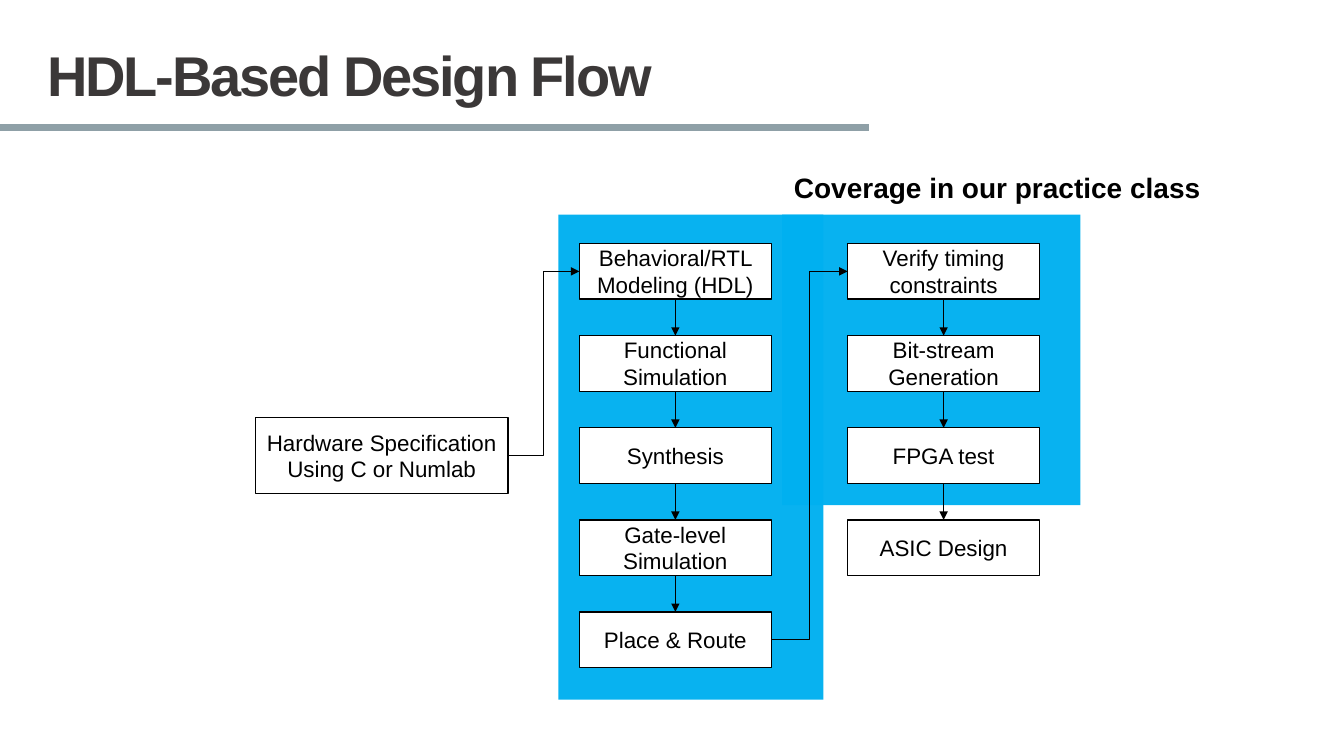
"""Build the HDL-based design flow slide."""
from lxml import etree
from pptx import Presentation
from pptx.dml.color import RGBColor
from pptx.enum.shapes import MSO_CONNECTOR, MSO_SHAPE
from pptx.enum.text import MSO_ANCHOR, PP_ALIGN
from pptx.oxml.ns import qn
from pptx.util import Cm, Pt

RECT = MSO_SHAPE.RECTANGLE
STRAIGHT, ELBOW = MSO_CONNECTOR.STRAIGHT, MSO_CONNECTOR.ELBOW
MIDDLE, TOP = MSO_ANCHOR.MIDDLE, MSO_ANCHOR.TOP
LEFT, CENTER = PP_ALIGN.LEFT, PP_ALIGN.CENTER
BLACK = RGBColor(0x00, 0x00, 0x00)
WHITE = RGBColor(0xFF, 0xFF, 0xFF)
BLUE = RGBColor(0x00, 0xB0, 0xF0)
CHARCOAL = RGBColor(0x3B, 0x38, 0x38)
SLATE = RGBColor(0x8F, 0xA0, 0xA7)

SITE_TOP, SITE_LEFT, SITE_BOTTOM, SITE_RIGHT = range(4)
STEP_W, STEP_H, STEP_TOP, STEP_PITCH = 4.84, 1.4, 6.14, 2.32
COLUMNS = [
    (14.6, ["Behavioral/RTL Modeling (HDL)", "Functional Simulation",
            "Synthesis", "Gate-level Simulation", "Place & Route"]),
    (21.36, ["Verify timing constraints", "Bit-stream Generation",
             "FPGA test", "ASIC Design"]),
]
COVERAGE_AREAS = [(14.07, 5.41, 6.68, 12.22), (19.71, 5.41, 7.52, 7.32)]
TEXTS = [
    ("HDL-Based Design Flow", (0.94, 0.91, 18.11, 2.13), LEFT, MIDDLE,
     {"size": Pt(40), "bold": True, "name": "Arial"}, CHARCOAL),
    ("Coverage in our practice class", (19.05, 4.17, 12.17, 1.12), CENTER, TOP,
     {"size": Pt(20), "bold": True, "name": "Arial"}, BLACK),
]
STEP_FONT = {"size": Pt(16), "bold": False, "name": "Arial"}


def write(sp, text, align, anchor, font, color):
    tf = sp.text_frame
    tf.word_wrap = True
    tf.vertical_anchor = anchor
    p = tf.paragraphs[0]
    p.alignment = align
    r = p.add_run()
    r.text = text
    for key, value in font.items():
        setattr(r.font, key, value)
    r.font.color.rgb = color


def add_line(kind, ends, color, width):
    line = s.shapes.add_connector(kind, *[Cm(v) for v in ends])
    line.line.color.rgb = color
    line.line.width = Pt(width)
    etree.SubElement(line.element.spPr, qn("a:effectLst"))
    return line


prs = Presentation()
prs.slide_width, prs.slide_height = Cm(33.87), Cm(19.05)
s = prs.slides.add_slide(prs.slide_layouts[6])

add_line(STRAIGHT, (0, 3.21, 21.9, 3.21), SLATE, 4.5)

for area in COVERAGE_AREAS:
    sp = s.shapes.add_shape(RECT, *[Cm(v) for v in area])
    sp.shadow.inherit = False
    sp.fill.solid()
    sp.fill.fore_color.rgb = BLUE
    sp.line.fill.background()
    color = sp.element.spPr.find(".//" + qn("a:srgbClr"))
    etree.SubElement(color, qn("a:alpha"), val="97000")

boxes = [("Hardware Specification Using C or Numlab", (6.44, 10.52, 6.36, 1.92))]
for left, steps in COLUMNS:
    for row, step in enumerate(steps):
        boxes.append((step, (left, STEP_TOP + row * STEP_PITCH, STEP_W, STEP_H)))

flow = []
for text, place in boxes:
    sp = s.shapes.add_shape(RECT, *[Cm(v) for v in place])
    sp.shadow.inherit = False
    sp.fill.solid()
    sp.fill.fore_color.rgb = WHITE
    sp.line.color.rgb = BLACK
    sp.line.width = Pt(1)
    write(sp, text, CENTER, MIDDLE, STEP_FONT, BLACK)
    flow.append(sp)

for source, target in zip(flow, flow[1:]):
    same_column = source.left == target.left
    arrow = add_line(STRAIGHT if same_column else ELBOW, (0, 0, 0, 0), BLACK, 0.5)
    arrow.begin_connect(source, SITE_BOTTOM if same_column else SITE_RIGHT)
    arrow.end_connect(target, SITE_TOP if same_column else SITE_LEFT)
    ln = arrow.element.spPr.find(qn("a:ln"))
    etree.SubElement(ln, qn("a:tailEnd"), type="triangle")

for text, place, align, anchor, font, color in TEXTS:
    sp = s.shapes.add_textbox(*[Cm(v) for v in place])
    write(sp, text, align, anchor, font, color)
    if color == CHARCOAL:
        sp.text_frame.paragraphs[0].line_spacing = 0.9
        sp.element.find(".//" + qn("a:rPr")).set("spc", "-150")

prs.save("out.pptx")
